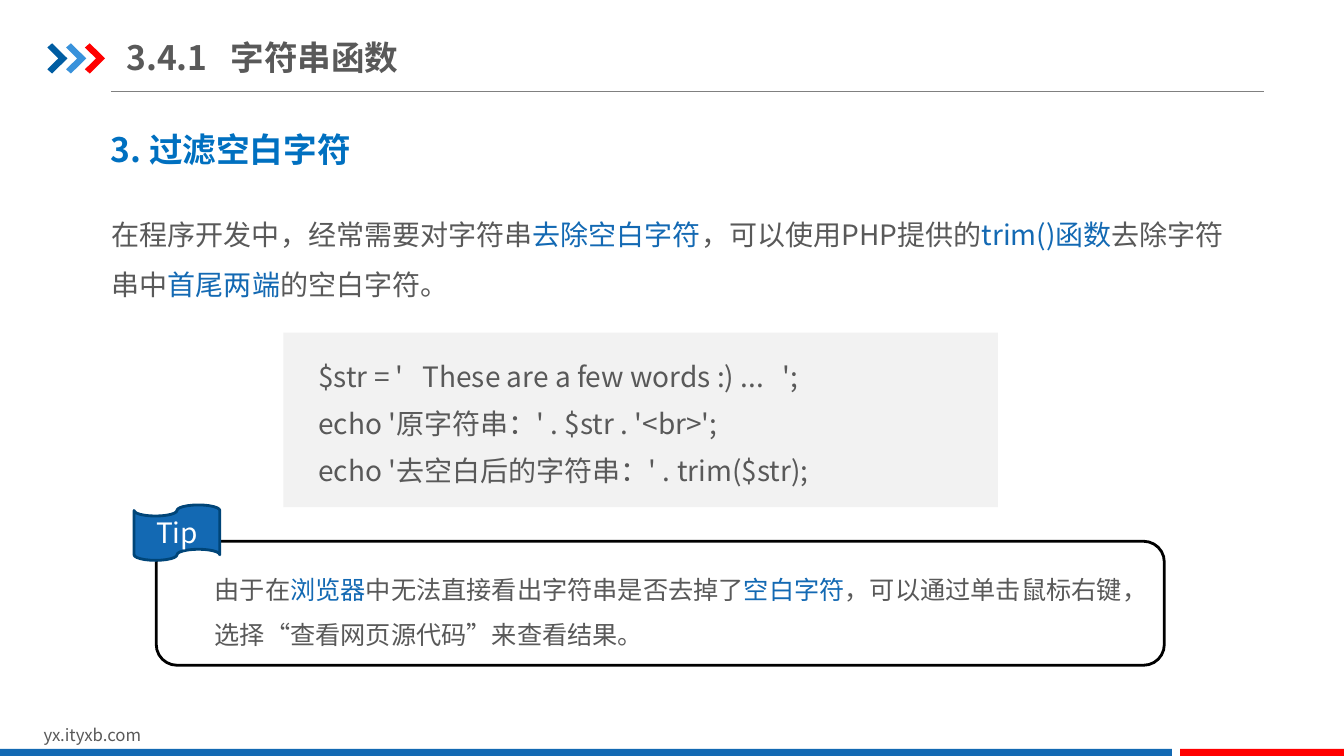
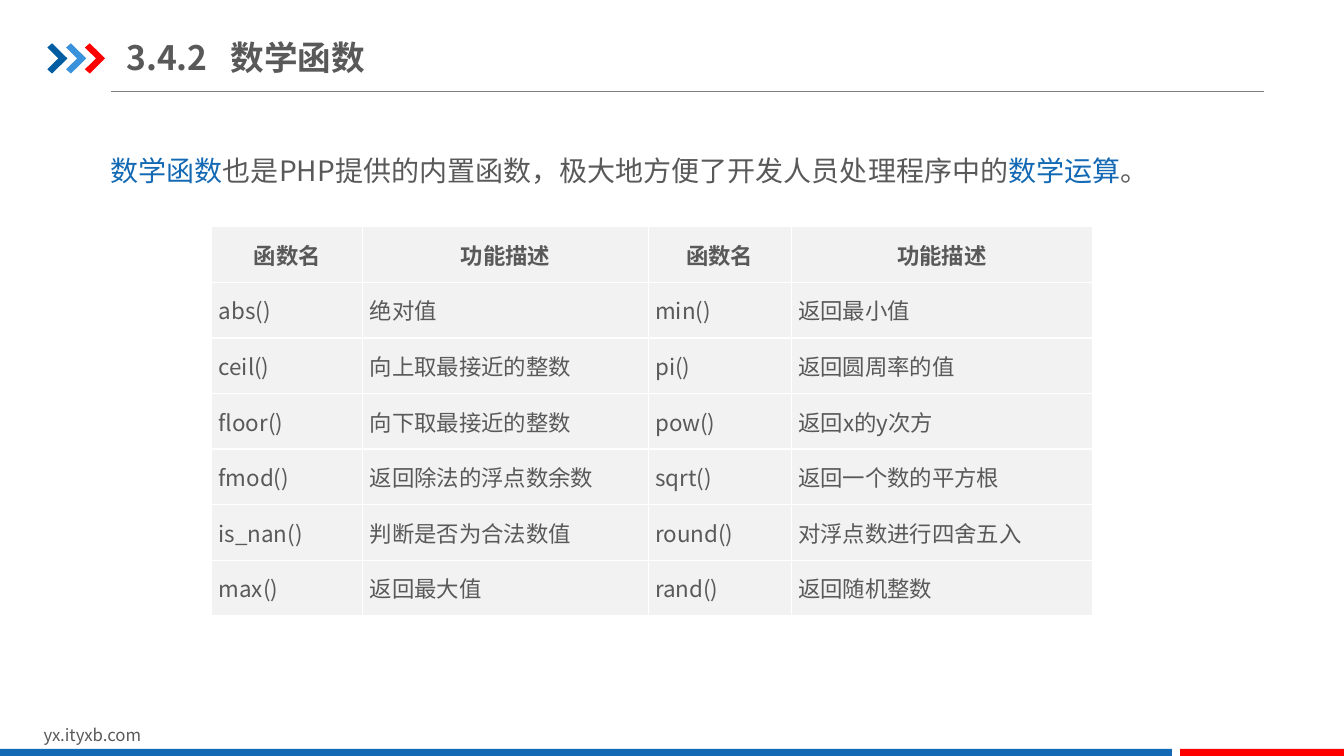
from lxml.etree import SubElement
from pptx import Presentation
from pptx.dml.color import RGBColor
from pptx.enum.shapes import MSO_CONNECTOR, MSO_SHAPE
from pptx.enum.text import MSO_ANCHOR, PP_ALIGN
from pptx.oxml.ns import qn
from pptx.util import Inches, Pt

WIDTH, HEIGHT = Inches(13.33), Inches(7.5)
FONT = "Noto Sans CJK SC"
GREY = RGBColor(0x59, 0x59, 0x59)
RULE_GREY = RGBColor(0x80, 0x80, 0x80)
PANEL = RGBColor(0xF2, 0xF2, 0xF2)
WHITE = RGBColor(0xFF, 0xFF, 0xFF)
BLACK = RGBColor(0x00, 0x00, 0x00)
BLUE = RGBColor(0x13, 0x69, 0xB3)
HEADING_BLUE = RGBColor(0x00, 0x70, 0xC0)
DARK_BLUE = RGBColor(0x00, 0x5D, 0xA2)
LIGHT_BLUE = RGBColor(0x39, 0x92, 0xDB)
EDGE_BLUE = RGBColor(0x00, 0x45, 0x78)
RED = RGBColor(0xFF, 0x00, 0x00)

CHEVRON = [(0, 0.14), (0.24, 0), (1, 0.5), (0.24, 1), (0, 0.86), (0.55, 0.5)]
INSETS = {"margin_left": Inches(0.1), "margin_right": Inches(0.1),
          "margin_top": Inches(0.05), "margin_bottom": Inches(0.05)}
CELL_INSETS = {"margin_left": Inches(0.07), "margin_right": Inches(0.07),
               "margin_top": 0, "margin_bottom": 0}
FUNCTIONS = [
    ("函数名", "功能描述", "函数名", "功能描述"),
    ("abs()", "绝对值", "min()", "返回最小值"),
    ("ceil()", "向上取最接近的整数", "pi()", "返回圆周率的值"),
    ("floor()", "向下取最接近的整数", "pow()", "返回x的y次方"),
    ("fmod()", "返回除法的浮点数余数", "sqrt()", "返回一个数的平方根"),
    ("is_nan()", "判断是否为合法数值", "round()", "对浮点数进行四舍五入"),
    ("max()", "返回最大值", "rand()", "返回随机整数"),
]


def across(percent):
    return round(WIDTH * percent / 100)


def down(percent):
    return round(HEIGHT * percent / 100)


def place(left, top, width, height):
    """Turn percentages of the slide into a left, top, width, height in EMU."""
    return across(left), down(top), across(width), down(height)


def apply(target, values):
    for name, value in values.items():
        setattr(target, name, value)


def write(para, text, size, color=GREY, bold=False, **layout):
    """Fill a paragraph; pieces between | marks are set in blue."""
    apply(para, layout)
    for index, piece in enumerate(text.split("|")):
        if not piece:
            continue
        span = para.add_run()
        span.text = piece
        apply(span.font, {"size": Pt(size), "bold": bold, "name": FONT})
        span.font.color.rgb = BLUE if index % 2 else color
        SubElement(span.font._element, qn("a:ea"), typeface=FONT)


def add_text(page, area, lines, size, color=GREY, bold=False, spacing=1.0,
             wrap=True, **frame_format):
    box = page.shapes.add_textbox(*place(*area))
    frame = box.text_frame
    apply(frame, {**INSETS, "word_wrap": wrap, **frame_format})
    for index, line in enumerate(lines):
        para = frame.add_paragraph() if index else frame.paragraphs[0]
        write(para, line, size, color, bold, line_spacing=spacing)
    return box


def paint(shape, fill=None, line=None):
    shape.shadow.inherit = False
    if fill is None:
        shape.fill.background()
    else:
        shape.fill.solid()
        shape.fill.fore_color.rgb = fill
    if line is None:
        shape.line.fill.background()
    else:
        shape.line.color.rgb = line
        shape.line.width = Pt(2)


def add_block(page, kind, area, fill=None, line=None):
    shape = page.shapes.add_shape(kind, *place(*area))
    paint(shape, fill, line)
    return shape


def add_chevron(page, area, color):
    left, top, width, height = place(*area)
    points = [(left + x * width, top + y * height) for x, y in CHEVRON]
    builder = page.shapes.build_freeform(*points[0])
    builder.add_line_segments(points[1:], close=True)
    paint(builder.convert_to_shape(), color)


def add_title(page, number, name):
    box = add_text(page, (9.4, 3.87, 31.95, 7.33), [], 24, margin_left=0,
                   margin_right=0, vertical_anchor=MSO_ANCHOR.MIDDLE)
    para = box.text_frame.paragraphs[0]
    tabs = SubElement(para._p.get_or_add_pPr(), qn("a:tabLst"))
    SubElement(tabs, qn("a:tab"), pos=str(across(7.75)), algn="l")
    write(para, f"{number}\t{name}", 24, bold=True)


def add_page(deck, number, name):
    """Add a blank slide with the shared header, title and footer."""
    page = deck.slides.add_slide(deck.slide_layouts[6])
    rule = page.shapes.add_connector(MSO_CONNECTOR.STRAIGHT, across(8.25),
                                     down(12.13), across(94.05), down(12.13))
    rule.line.color.rgb = RULE_GREY
    rule.line.width = Pt(0.75)
    SubElement(rule._element.spPr, qn("a:effectLst"))
    for index, color in enumerate((DARK_BLUE, LIGHT_BLUE, RED)):
        add_chevron(page, (3.52 + 1.4 * index, 5.73, 1.5, 4), color)
    add_text(page, (2.5, 95.2, 23.85, 4), ["yx.ityxb.com"], 12)
    for left, right, color in ((0, 87.2, BLUE), (87.8, 100, RED)):
        add_block(page, MSO_SHAPE.RECTANGLE,
                  (left, 99.07, right - left, 0.93), color)
    add_title(page, number, name)
    return page


def add_borders(cell):
    props = cell._tc.get_or_add_tcPr()
    for side in ("lnL", "lnR", "lnT", "lnB"):
        line = SubElement(props, qn(f"a:{side}"), w=str(Pt(1)))
        fill = SubElement(line, qn("a:solidFill"))
        SubElement(fill, qn("a:srgbClr"), val=str(WHITE))


def add_grid(page, left, top, columns, row_height, rows):
    area = place(left, top, sum(columns), row_height * len(rows))
    table = page.shapes.add_table(len(rows), len(columns), *area).table
    apply(table, {"first_row": False, "horz_banding": False})
    for column, width in zip(table.columns, columns):
        column.width = across(width)
    for r, texts in enumerate(rows):
        table.rows[r].height = down(row_height)
        for c, text in enumerate(texts):
            cell = table.cell(r, c)
            apply(cell, {**CELL_INSETS, "vertical_anchor": MSO_ANCHOR.MIDDLE})
            add_borders(cell)
            cell.fill.solid()
            cell.fill.fore_color.rgb = PANEL
            body_align = PP_ALIGN.JUSTIFY if c % 2 else PP_ALIGN.LEFT
            write(cell.text_frame.paragraphs[0], text, 16, bold=r == 0,
                  alignment=body_align if r else PP_ALIGN.CENTER)


def add_code(page, lines):
    add_block(page, MSO_SHAPE.RECTANGLE, (21.08, 44, 53.17, 23.07), PANEL)
    add_text(page, (22.95, 45.07, 39.7, 19.47), lines, 20, spacing=1.4,
             wrap=False)


def add_tip(page, text):
    add_text(page, (15.23, 73.33, 70.8, 13.47), [text], 18, spacing=1.5)
    add_block(page, MSO_SHAPE.ROUNDED_RECTANGLE, (11.63, 71.6, 75, 16.4),
              line=BLACK)
    flag = add_block(page, MSO_SHAPE.FLOWCHART_PUNCHED_TAPE,
                     (9.98, 66.8, 6.38, 7.33), BLUE, EDGE_BLUE)
    flag.text_frame.vertical_anchor = MSO_ANCHOR.MIDDLE
    write(flag.text_frame.paragraphs[0], "Tip", 20, WHITE,
          alignment=PP_ALIGN.CENTER)


def build_trim_page(deck):
    page = add_page(deck, "3.4.1", "字符串函数")
    add_text(page, (7.5, 16.4, 32.85, 6.67), ["3. 过滤空白字符"], 24,
             HEADING_BLUE, bold=True)
    add_text(page, (7.58, 25.87, 85.05, 14.8),
             ["在程序开发中，经常需要对字符串|去除空白字符|，可以使用PHP提供的"
              "|trim()函数|去除字符串中|首尾两端|的空白字符。"], 20, spacing=1.5)
    add_code(page, ["$str = '   These are a few words :) ...   ';",
                    "echo '原字符串：' . $str . '<br>';",
                    "echo '去空白后的字符串：' . trim($str);"])
    add_tip(page, "由于在|浏览器|中无法直接看出字符串是否去掉了|空白字符|，"
                  "可以通过单击鼠标右键，选择“查看网页源代码”来查看结果。")


def build_math_page(deck):
    page = add_page(deck, "3.4.2", "数学函数")
    add_text(page, (7.5, 17.47, 79.13, 8.13),
             ["|数学函数|也是PHP提供的内置函数，极大地方便了开发人员处理程序中的"
              "|数学运算|。"], 20, spacing=1.5)
    add_grid(page, 15.75, 30, (11.25, 21.23, 10.65, 22.43), 7.35, FUNCTIONS)


def main():
    deck = Presentation()
    apply(deck, {"slide_width": WIDTH, "slide_height": HEIGHT})
    build_trim_page(deck)
    build_math_page(deck)
    deck.save("out.pptx")


if __name__ == "__main__":
    main()
